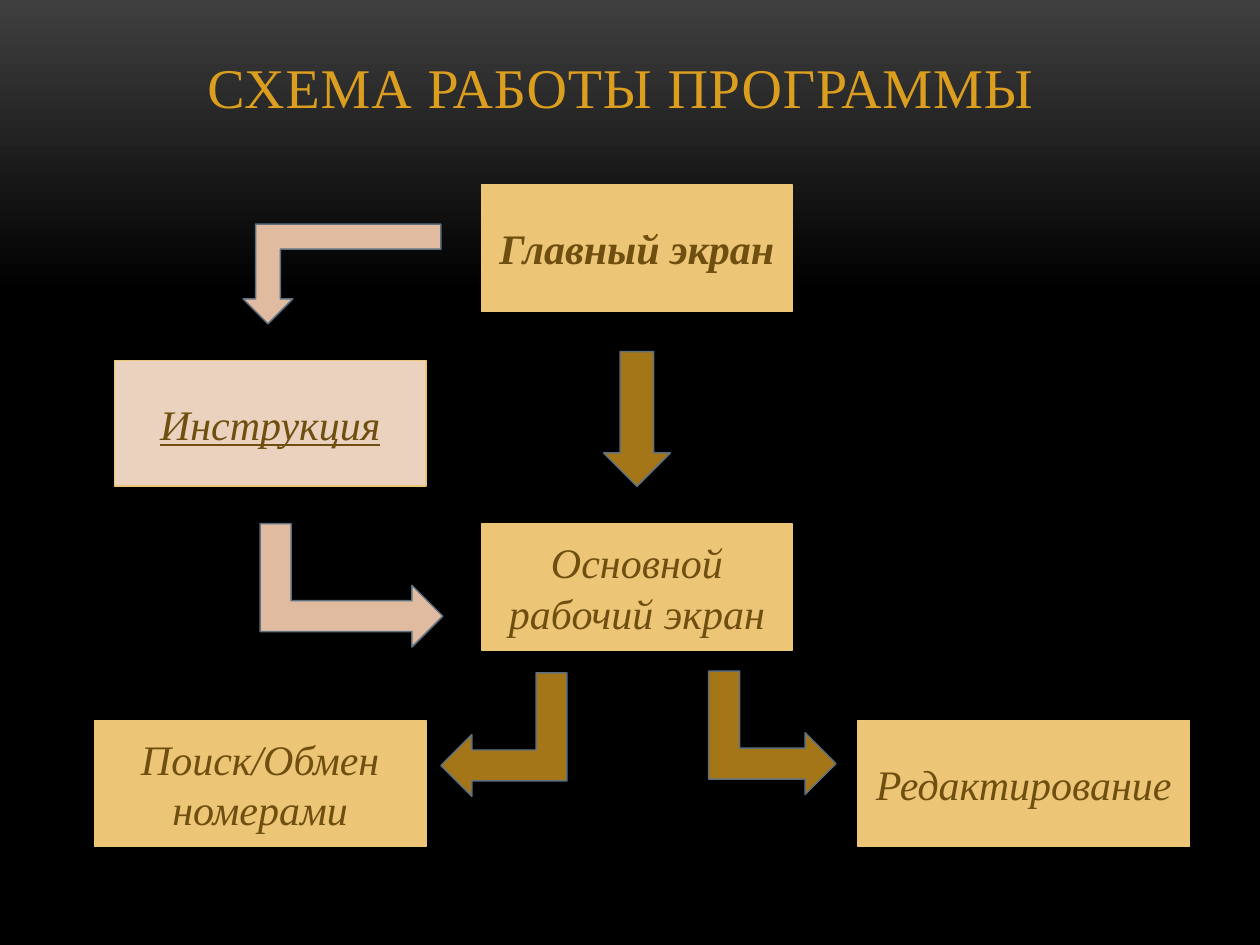
from copy import deepcopy

from pptx import Presentation
from pptx.dml.color import RGBColor
from pptx.enum.shapes import MSO_SHAPE as Kind
from pptx.enum.text import MSO_ANCHOR as Anchor, PP_ALIGN as Align
from pptx.util import Inches, Pt

FACE = "Times New Roman"
GOLD, SAND, PINK, BROWN = "ECC577", "EBD2BF", "E0BBA0", "A57617"
INK, EDGE, TITLE = "6E4F10", "5D7080", "DC9E1F"
BACK = [(0, "3F3F3F"), (0.31, "000000"), (1, "000000")]

HEAD = "СХЕМА РАБОТЫ ПРОГРАММЫ"
HIGH = 1
MID, WIDE = 2.47, 2.63
LEFT_END, CORE, RIGHT = 3.38, 3.82, 6.81
ROWS = [1.47, 2.86, 4.16, 5.72]

# text, left, row, width, fill, extra font values
BOXES = [
    ("Главный экран", CORE, 0, MID, GOLD, {"bold": True}),
    ("Инструкция", LEFT_END - MID, 1, MID, SAND, {"underline": True}),
    ("Основной рабочий экран", CORE, 2, MID, GOLD, {}),
    ("Редактирование", RIGHT, 3, WIDE, GOLD, {}),
    ("Поиск/Обмен номерами", LEFT_END - WIDE, 3, WIDE, GOLD, {}),
]

# kind, place, turn, flips, fill
DOWN, BENT = Kind.DOWN_ARROW, Kind.BENT_UP_ARROW
ARROWS = [
    (DOWN, (4.79, 2.79, 0.53, 1.07), 0, "", BROWN),
    (BENT, (1.93, 1.78, 1.57, 0.79), 0, "HV", PINK),
    (BENT, (2.3, 3.92, 0.98, 1.45), 270, "HV", PINK),
    (BENT, (5.64, 5.31, 0.98, 1.01), 270, "HV", BROWN),
    (BENT, (3.51, 5.33, 0.98, 1), 270, "H", BROWN),
]


def color(code):
    """Turn a hex string into a colour."""
    return RGBColor.from_string(code)


def paint(slide):
    """Fill the background with a gradient from the top down."""
    fill = slide.background.fill
    fill.gradient()
    fill.gradient_angle = 270
    last = fill.gradient_stops[1]._gs
    last.addnext(deepcopy(last))
    for stop, (pos, code) in zip(fill.gradient_stops, BACK):
        stop.position = pos
        stop.color.rgb = color(code)


def draw(slide, kind, place, fill, edge):
    """Add a flat shape with a thin outline."""
    shape = slide.shapes.add_shape(kind, *map(Inches, place))
    shape.shadow.inherit = False
    shape.fill.solid()
    shape.fill.fore_color.rgb = color(fill)
    shape.line.color.rgb = color(edge)
    shape.line.width = Pt(0.85)
    return shape


def write(shape, text, size, code, anchor, **extra):
    """Put one centred line of text in a shape and return its run."""
    frame = shape.text_frame
    frame.word_wrap = True
    frame.vertical_anchor = anchor
    para = frame.paragraphs[0]
    para.alignment = Align.CENTER
    run = para.add_run()
    run.text = text
    run.font.color.rgb = color(code)
    for name, value in {"name": FACE, "size": Pt(size), **extra}.items():
        setattr(run.font, name, value)
    return run


def main():
    """Build the slide and save it."""
    deck = Presentation()
    deck.slide_width, deck.slide_height = Inches(10), Inches(7.5)
    slide = deck.slides.add_slide(deck.slide_layouts[6])
    paint(slide)

    head = slide.shapes.add_textbox(*map(Inches, (0.59, 0.21, 8.67, 0.79)))
    run = write(head, HEAD, 32, TITLE, Anchor.BOTTOM)
    run.font._element.set("spc", "50")

    for text, left, row, width, fill, extra in BOXES:
        place = (left, ROWS[row], width, HIGH)
        box = draw(slide, Kind.RECTANGLE, place, fill, GOLD)
        write(box, text, 24, INK, Anchor.MIDDLE, italic=True, **extra)

    for kind, place, turn, flips, fill in ARROWS:
        arrow = draw(slide, kind, place, fill, EDGE)
        arrow.rotation = turn
        for axis in flips:
            arrow._element.spPr.xfrm.set("flip" + axis, "1")

    deck.save("out.pptx")


main()
